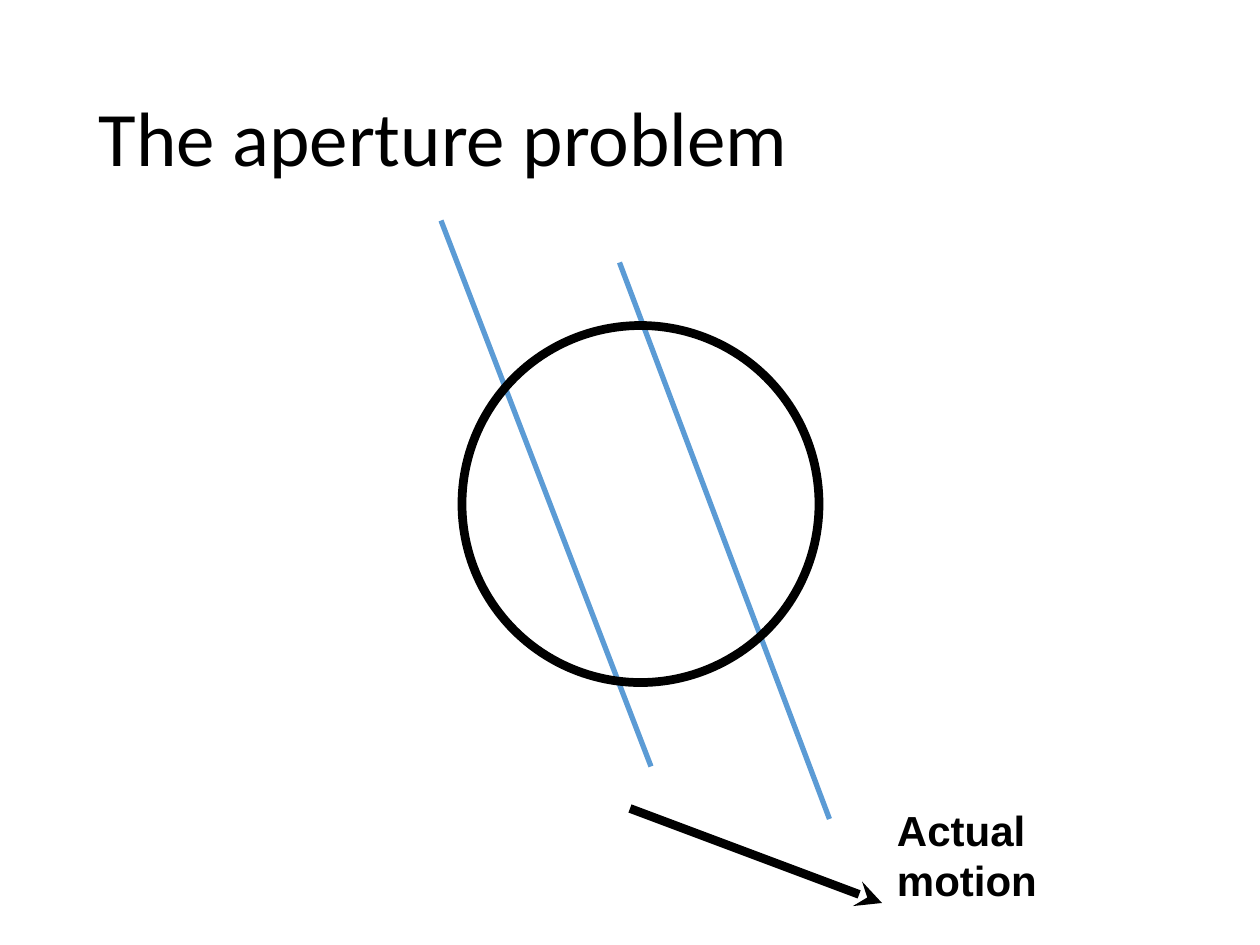
from lxml.etree import SubElement
from pptx import Presentation
from pptx.dml.color import RGBColor
from pptx.enum.shapes import MSO_CONNECTOR, MSO_SHAPE
from pptx.enum.text import MSO_ANCHOR, MSO_AUTO_SIZE
from pptx.oxml.ns import qn
from pptx.util import Pt

COLORS = {"black": "000000", "blue": "5B9BD5"}

presentation = Presentation()
presentation.slide_width, presentation.slide_height = Pt(720), Pt(540)
slide = presentation.slides.add_slide(presentation.slide_layouts[6])


def add_line(start, end, color, width):
    connector = slide.shapes.add_connector(
        MSO_CONNECTOR.STRAIGHT, *map(Pt, start + end))
    connector.line.color.rgb = RGBColor.from_string(COLORS[color])
    connector.line.width = Pt(width)
    SubElement(connector._element.spPr, qn("a:effectLst"))
    return connector


def add_text(text, box, font_name, size, bold=False):
    shape = slide.shapes.add_textbox(*map(Pt, box))
    paragraph = shape.text_frame.paragraphs[0]
    run = paragraph.add_run()
    run.text = text
    run.font.name = font_name
    run.font.size = Pt(size)
    run.font.bold = bold
    run.font.color.rgb = RGBColor.from_string(COLORS["black"])
    return shape.text_frame


title = add_text("The aperture problem", (49.5, 28.8, 621, 104.4), "Calibri", 44)
title.word_wrap = True
title.vertical_anchor = MSO_ANCHOR.MIDDLE
title.paragraphs[0].line_spacing = 0.9

# Moving edges seen through the aperture
for start, end in [((252, 126), (372, 438)), ((354, 150), (474, 468))]:
    add_line(start, end, "blue", 3)

aperture = slide.shapes.add_shape(
    MSO_SHAPE.OVAL, Pt(264), Pt(186), Pt(204), Pt(204))
aperture.shadow.inherit = False
aperture.fill.background()
aperture.line.color.rgb = RGBColor.from_string(COLORS["black"])
aperture.line.width = Pt(5)

motion_arrow = add_line((360, 462), (504, 516), "black", 5)
SubElement(motion_arrow.line._get_or_add_ln(), qn("a:tailEnd"), type="stealth")

motion_label = add_text("Actual motion", (505.5, 456, 174, 36), "Arial", 24, bold=True)
motion_label.word_wrap = False
motion_label.auto_size = MSO_AUTO_SIZE.SHAPE_TO_FIT_TEXT

presentation.save("out.pptx")
